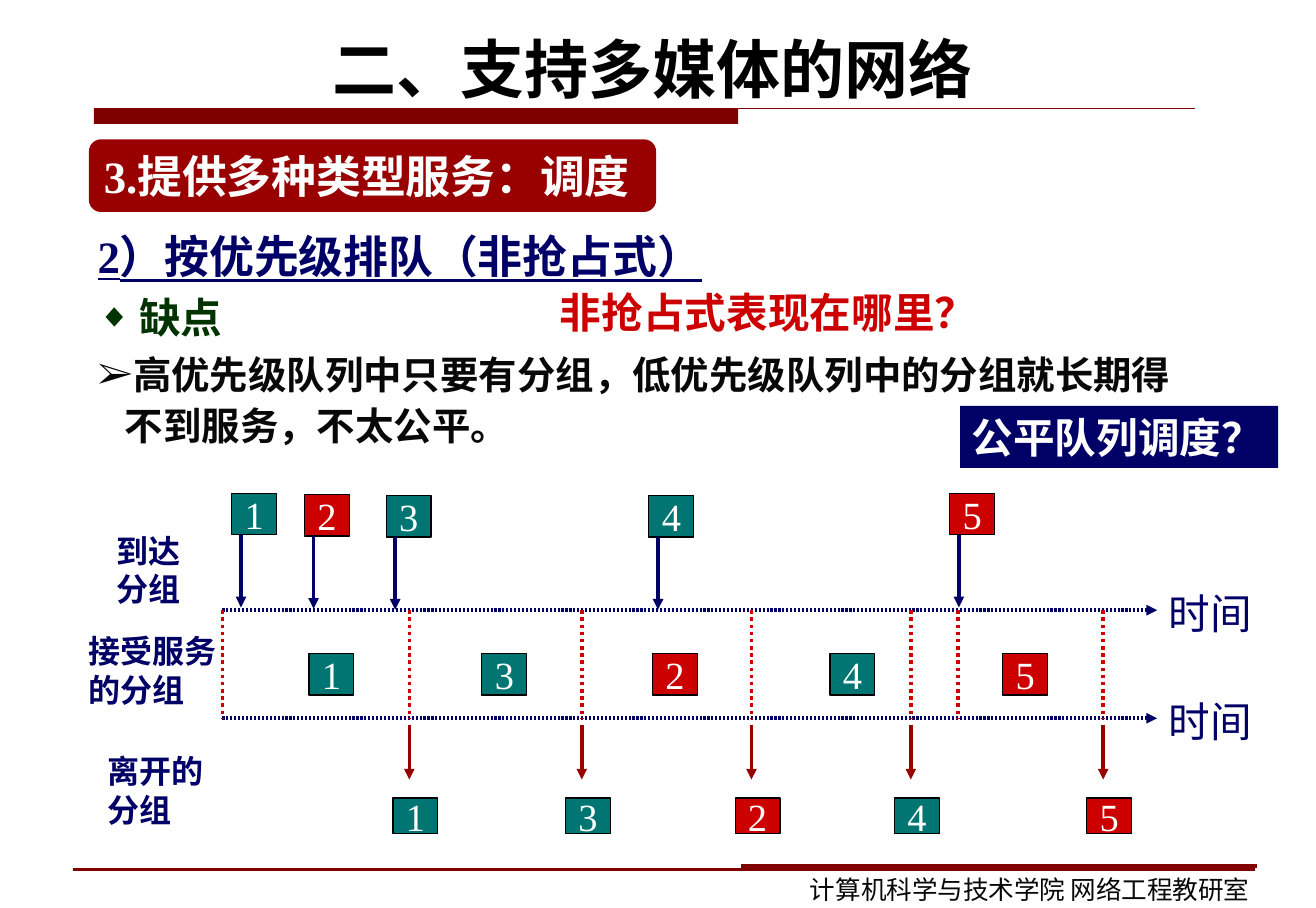
from lxml import etree
from pptx import Presentation
from pptx.dml.color import RGBColor
from pptx.enum.dml import MSO_LINE
from pptx.enum.shapes import MSO_CONNECTOR, MSO_SHAPE
from pptx.enum.text import MSO_ANCHOR, PP_ALIGN
from pptx.oxml.ns import qn
from pptx.util import Cm, Pt

RECT, ROUNDED = MSO_SHAPE.RECTANGLE, MSO_SHAPE.ROUNDED_RECTANGLE
STRAIGHT = MSO_CONNECTOR.STRAIGHT
DOTTED = MSO_LINE.ROUND_DOT
TOP, MIDDLE = MSO_ANCHOR.TOP, MSO_ANCHOR.MIDDLE
LEFT, CENTER = PP_ALIGN.LEFT, PP_ALIGN.CENTER

SERIF, SANS = "Times New Roman", "Arial"
NAVY, TEAL, RED = "000066", "007572", "CC0000"
MAROON, CRIMSON, GREEN = "800000", "990000", "003300"
BLACK, INK, WHITE = "000000", "080808", "FFFFFF"

TITLE = "二、支持多媒体的网络"
SECTION = "3.提供多种类型服务：调度"
TOPIC = "2）按优先级排队（非抢占式）"
DRAWBACK = "缺点"
REASON = "高优先级队列中只要有分组，低优先级队列中的分组就长期得不到服务，不太公平。"
QUESTION = "非抢占式表现在哪里？"
FAIR_QUEUE = "公平队列调度？"
FOOTER = "计算机科学与技术学院 网络工程教研室"
AXIS_NAME = "时间"

STAGES = [
    ("到达分组", 2.31, 11.58, 2.18),
    ("接受服务的分组", 1.7, 13.79, 3.78),
    ("离开的分组", 2.11, 16.43, 3.0),
]
URGENCY = {"1": TEAL, "2": RED, "3": TEAL, "4": TEAL, "5": RED}
ARRIVALS = [("1", 5.11, 10.87), ("2", 6.71, 10.9), ("3", 8.51, 10.92),
            ("4", 14.3, 10.92), ("5", 20.93, 10.87)]
SERVICES = [("1", 6.81), ("3", 10.62), ("2", 14.38), ("4", 18.29), ("5", 22.1)]
DEPARTURES = [("1", 9.02), ("3", 12.82), ("2", 16.56), ("4", 20.07), ("5", 24.31)]

AXIS_START, AXIS_END = 4.9, 25.5
ARRIVAL_AXIS, DEPARTURE_AXIS = 13.44, 15.82
PACKET_W, PACKET_H, LEAVING_H = 0.99, 0.91, 0.79

deck = Presentation()
deck.slide_width, deck.slide_height = Cm(29), Cm(20)
slide = deck.slides.add_slide(deck.slide_layouts[6])


def color(hex_code):
    return RGBColor.from_string(hex_code)


def write(frame, text, size=20, font=SERIF, ink=NAVY, bold=False, underline=False,
          align=LEFT, before=0, spacing=1.0, bullet=None, indent=0, bullet_size=100):
    paragraph = frame.paragraphs[0]
    if paragraph.runs:
        paragraph = frame.add_paragraph()
    paragraph.alignment = align
    paragraph.space_before = Pt(before)
    paragraph.line_spacing = spacing
    run = paragraph.add_run()
    run.text = text
    run.font.size, run.font.name = Pt(size), font
    run.font.bold, run.font.underline = bold, underline
    run.font.color.rgb = color(ink)
    if bullet:
        props = paragraph._p.get_or_add_pPr()
        props.set("marL", str(Cm(indent)))
        props.set("indent", str(-Cm(indent)))
        tint = etree.SubElement(props, qn("a:buClr"))
        etree.SubElement(tint, qn("a:srgbClr"), val=ink)
        etree.SubElement(props, qn("a:buSzPct"), val=str(bullet_size * 1000))
        etree.SubElement(props, qn("a:buFont"), typeface=font)
        etree.SubElement(props, qn("a:buChar"), char=bullet)


def text_area(left, top, width, height, anchor=TOP):
    frame = slide.shapes.add_textbox(Cm(left), Cm(top), Cm(width), Cm(height)).text_frame
    frame.word_wrap = True
    frame.vertical_anchor = anchor
    return frame


def block(kind, left, top, width, height, fill, border=None, anchor=MIDDLE, wrap=False):
    shape = slide.shapes.add_shape(kind, Cm(left), Cm(top), Cm(width), Cm(height))
    shape.shadow.inherit = False
    shape.fill.solid()
    shape.fill.fore_color.rgb = color(fill)
    if border:
        shape.line.color.rgb = color(border)
        shape.line.width = Pt(0.75)
    else:
        shape.line.fill.background()
    shape.text_frame.word_wrap = wrap
    shape.text_frame.vertical_anchor = anchor
    return shape.text_frame


def rule(x1, y1, x2, y2, ink, weight=2.25, dash=None, arrow=False, beaded=False):
    connector = slide.shapes.add_connector(STRAIGHT, Cm(x1), Cm(y1), Cm(x2), Cm(y2))
    connector.line.color.rgb = color(ink)
    connector.line.width = Pt(weight)
    if dash:
        connector.line.dash_style = dash
    stroke = connector.line._get_or_add_ln()
    if beaded:
        pattern = etree.SubElement(stroke, qn("a:custDash"))
        etree.SubElement(pattern, qn("a:ds"), d="60000", sp="50000")
    if arrow:
        etree.SubElement(stroke, qn("a:tailEnd"), type="triangle")
    etree.SubElement(connector._element.spPr, qn("a:effectLst"))


def packet(number, left, top, height=PACKET_H):
    frame = block(RECT, left, top, PACKET_W, height, URGENCY[number], BLACK)
    write(frame, number, size=24, ink=WHITE, align=CENTER)


block(RECT, 2.07, 2.39, 14.2, 0.34, MAROON)
rule(2.07, 2.39, 26.33, 2.39, MAROON, 0.75)
write(text_area(1.55, 0.08, 25.65, 2.82, MIDDLE), TITLE,
      size=40, ink=BLACK, bold=True, align=CENTER)
write(block(ROUNDED, 1.96, 3.07, 12.5, 1.6, CRIMSON), SECTION,
      size=28, ink=WHITE, bold=True, before=17.5)
write(text_area(1.9, 4.8, 26, 1.57), TOPIC,
      size=28, bold=True, underline=True, before=7, spacing=1.1)

drawbacks = text_area(1.9, 6.2, 24.4, 3.81)
write(drawbacks, DRAWBACK, size=26, ink=GREEN, bold=True, before=3.3,
      spacing=1.1, bullet="◆", indent=0.92, bullet_size=80)
write(drawbacks, REASON, size=24, ink=INK, bold=True, before=3,
      spacing=1.1, bullet="➢", indent=0.6)

write(text_area(12.09, 6.2, 11.6, 1.37), QUESTION,
      size=26, font=SANS, ink=RED, bold=True, before=16.2)
write(block(RECT, 21.16, 8.94, 7.01, 1.37, NAVY, anchor=TOP, wrap=True), FAIR_QUEUE,
      size=26, font=SANS, ink=WHITE, bold=True, before=16.2)

for stage, left, top, width in STAGES:
    write(text_area(left, top, width, 1.96), stage, font=SANS, bold=True, before=12.5)

for axis in (ARRIVAL_AXIS, DEPARTURE_AXIS):
    rule(AXIS_START, axis, AXIS_END, axis, NAVY, arrow=True, beaded=True)
    write(text_area(AXIS_END, axis - 0.62, 3.3, 1.37), AXIS_NAME,
          size=26, font=SANS, before=16.2)

for number, left, top in ARRIVALS:
    packet(number, left, top)
    foot = top + PACKET_H
    rule(left + 0.2, foot, left + 0.2, foot + 1.6, NAVY, arrow=True)

for moment in [AXIS_START, 21.11] + [x for _, x in DEPARTURES]:
    rule(moment, ARRIVAL_AXIS, moment, DEPARTURE_AXIS, RED, dash=DOTTED)

for number, left in SERVICES:
    packet(number, left, 14.4)

for number, moment in DEPARTURES:
    packet(number, moment - 0.36, 17.58, LEAVING_H)
    rule(moment, 15.98, moment, 17.17, CRIMSON, arrow=True)

rule(1.6, 19.15, 27.66, 19.15, MAROON, 1.5)
rule(16.33, 19.08, 27.71, 19.08, MAROON)
write(text_area(17.6, 19.13, 10.67, 0.94), FOOTER, size=16, font=SANS, ink=INK, before=10)

deck.save("out.pptx")
